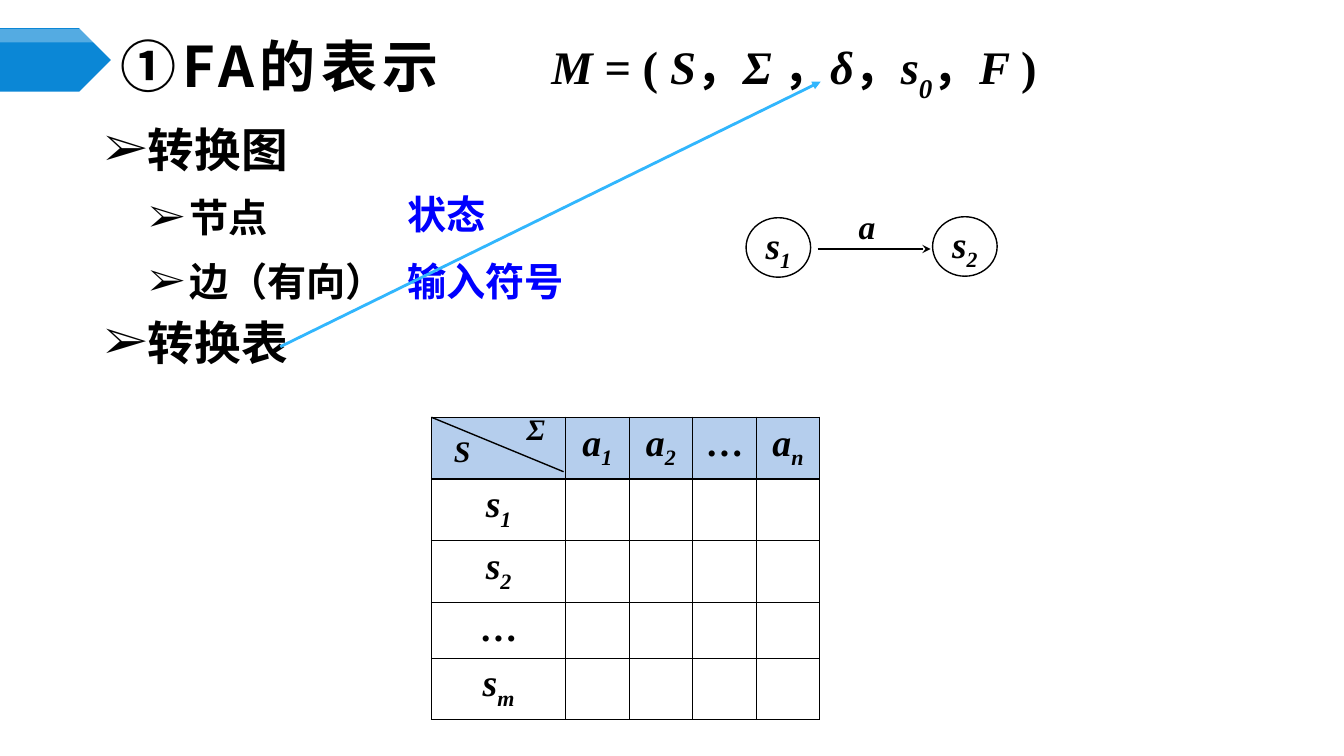
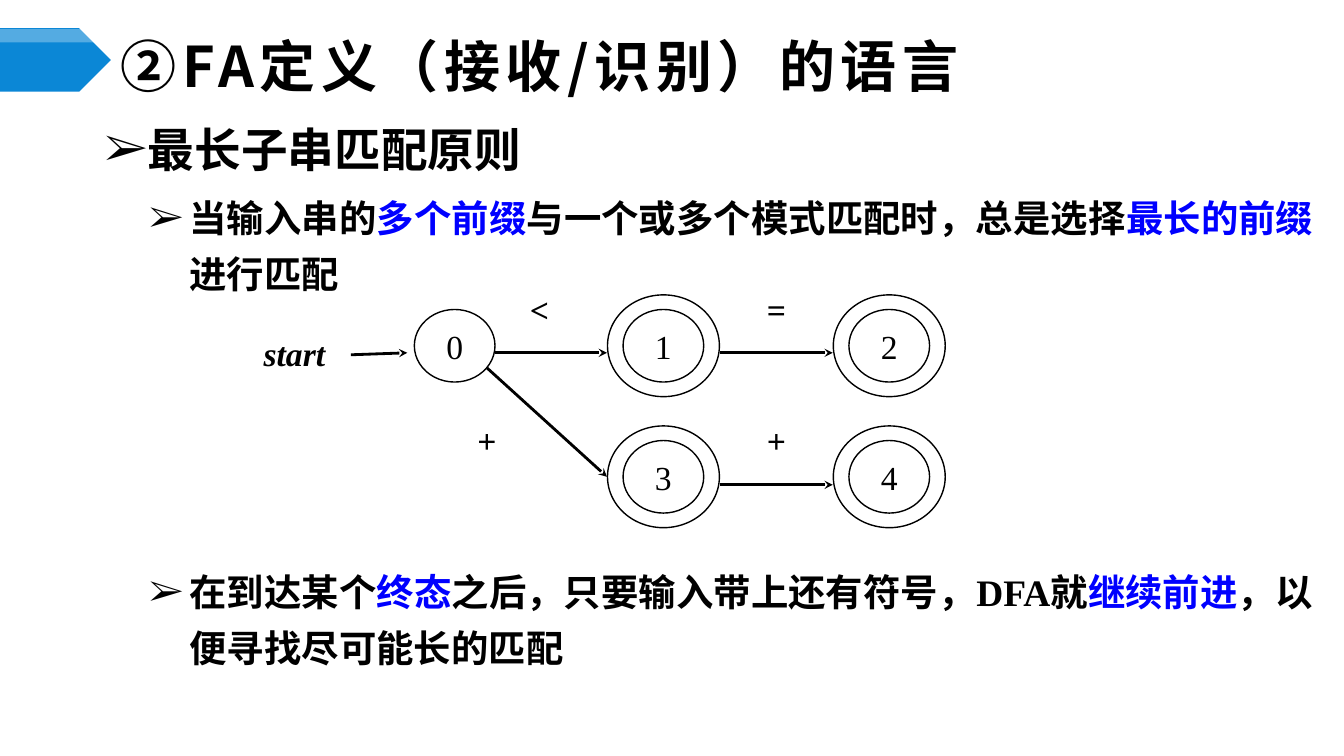
from lxml import etree
from pptx import Presentation
from pptx.dml.color import RGBColor
from pptx.enum.shapes import MSO_CONNECTOR, MSO_SHAPE
from pptx.enum.text import MSO_ANCHOR, PP_ALIGN
from pptx.oxml import parse_xml
from pptx.oxml.ns import nsdecls, qn
from pptx.util import Inches, Pt

STRAIGHT = MSO_CONNECTOR.STRAIGHT
ELLIPSE, PENTAGON = MSO_SHAPE.OVAL, MSO_SHAPE.PENTAGON
TOP, MIDDLE = MSO_ANCHOR.TOP, MSO_ANCHOR.MIDDLE
LEFT, CENTER = PP_ALIGN.LEFT, PP_ALIGN.CENTER

BLACK = RGBColor(0x00, 0x00, 0x00)
WHITE = RGBColor(0xFF, 0xFF, 0xFF)
BLUE = RGBColor(0x00, 0x00, 0xFF)
BAND_BLUE = RGBColor(0x0B, 0x87, 0xD6)
POINTER_BLUE = RGBColor(0x31, 0xB6, 0xFD)
HEADER_BLUE = RGBColor(0xB5, 0xCE, 0xED)
SANS, SERIF = "Noto Sans CJK SC", "Times New Roman"

# A span is a plain string or a pair of text and style.
ITALIC = {"italic": True}
SUB = {"italic": True, "baseline": -25}
LOW_SUB = {"italic": True, "baseline": -30}
KEY = {"color": BLUE}

# Outline entries: level, size, spans, space before in points
INDENTS = (0.4, 0.84)
HANGING = 0.4
LINE_PITCH = 40
SKIPPED_LINES = 187

TABLE_TITLE = "①FA的表示"
TABLE_OUTLINE = [
    (0, 33.3, ["转换图"], 0),
    (1, 28, ["节点"], 5.6),
    (1, 28, ["边（有向）"], 5.6),
    (0, 33.3, ["转换表"], 6.7),
]
FORMULA = [("M ", ITALIC), "= ( ", ("S", ITALIC), "，", ("Σ ", ITALIC), "，", ("δ", ITALIC),
           "，", ("s", ITALIC), ("0", LOW_SUB), "，", ("F ", ITALIC), ")"]
MEANINGS = [("状态", 1.84, 0.99), ("输入符号", 2.5, 1.77)]
SAMPLE_STATES = [("1", 7.4, 2.16), ("2", 9.25, 2.15)]
COLUMN_HEADS = [("a", "1"), ("a", "2"), ("…", ""), ("a", "n")]
ROW_HEADS = [("s", "1"), ("s", "2"), ("…", ""), ("s", "m")]
CORNER_LABELS = [("S", 4.4, 4.24, 0.37), ("Σ", 5.12, 4.03, 0.39)]

LANGUAGE_TITLE = "②FA定义（接收/识别）的语言"
LANGUAGE_OUTLINE = [
    (0, 33.3, ["最长子串匹配原则"], 0),
    (1, 26.7, ["当输入串的", ("多个前缀", KEY), "与一个或多个模式匹配时，总是选择",
               ("最长的前缀", KEY), "进行匹配"], 5.3),
    (1, 26.7, ["在到达某个", ("终态", KEY), "之后，只要输入带上还有符号，DFA就",
               ("继续前进", KEY), "，以便寻找尽可能长的匹配"], SKIPPED_LINES),
]
# State: name, column, row, accepting
STATES = [("0", 0, 0, False), ("1", 1, 0, True), ("2", 2, 0, True),
          ("3", 1, 1, True), ("4", 2, 1, True)]
STATE_X, STATE_Y = (4.51, 6.58, 8.82), (3.43, 4.73)
STATE_SIZE, RING_SIZE = (0.8, 0.72), (1.11, 1.01)
MOVES = [((3.48, 3.52), (4.04, 3.5)), ((4.91, 3.5), (6.02, 3.5)),
         ((7.14, 3.5), (8.26, 3.5)), ((4.83, 3.65), (6.02, 4.73)),
         ((7.14, 4.81), (8.26, 4.81))]
MOVE_LABELS = [("start", 2.36, 3.21, ITALIC), ("<", 4.79, 2.78, {}), ("=", 7.14, 2.78, {}),
               ("+", 4.27, 4.08, {}), ("+", 7.14, 4.08, {})]
LABEL_SIZE = (1.12, 0.58)


def inches(*values):
    return [Inches(value) for value in values]


def write(para, spans, size, font=SERIF, color=BLACK, bold=True, spacing=0):
    """Add styled runs; spacing is the extra letter gap in points."""
    for item in spans:
        text, style = (item, {}) if isinstance(item, str) else item
        span = para.add_run()
        span.text = text
        span.font.size = Pt(size)
        span.font.bold = bold
        span.font.italic = style.get("italic", False)
        span.font.name = font
        span.font.color.rgb = style.get("color", color)
        properties = span.font._element
        latin = properties.find(qn("a:latin"))
        latin.addnext(parse_xml(f'<a:ea {nsdecls("a")} typeface="{SANS}"/>'))
        if "baseline" in style:
            properties.set("baseline", str(style["baseline"] * 1000))
        if spacing:
            properties.set("spc", str(spacing * 100))


def add_text(page, at, spans, size, align=LEFT, anchor=TOP, wrap=False, **look):
    box = page.shapes.add_textbox(*inches(*at))
    frame = box.text_frame
    frame.word_wrap = wrap
    frame.vertical_anchor = anchor
    frame.paragraphs[0].alignment = align
    write(frame.paragraphs[0], spans, size, **look)


def add_plain_shape(page, kind, at, fill=None, line=None):
    shape = page.shapes.add_shape(kind, *inches(*at))
    shape.shadow.inherit = False
    if fill is None:
        shape.fill.background()
    else:
        shape.fill.solid()
        shape.fill.fore_color.rgb = fill
    if line is None:
        shape.line.fill.background()
    else:
        shape.line.color.rgb = line
        shape.line.width = Pt(1)
    return shape


def add_line(page, start, end, color=BLACK, width=2, head=None):
    line = page.shapes.add_connector(STRAIGHT, *inches(*start, *end))
    line.line.color.rgb = color
    line.line.width = Pt(width)
    if head:
        etree.SubElement(line.line._get_or_add_ln(), qn("a:tailEnd"), type=head)
    etree.SubElement(line._element.spPr, qn("a:effectLst"))


def add_state(page, at, spans, size, bold):
    frame = add_plain_shape(page, ELLIPSE, at, WHITE, BLACK).text_frame
    frame.word_wrap = False
    frame.vertical_anchor = MIDDLE
    frame.paragraphs[0].alignment = CENTER
    write(frame.paragraphs[0], spans, size, bold=bold)


def centred(center, size):
    return (center[0] - size[0] / 2, center[1] - size[1] / 2, *size)


def add_outline(page, entries):
    frame = page.shapes.add_textbox(*inches(0.94, 1.15, 12.24, 4.7)).text_frame
    frame.word_wrap = True
    for index, (level, size, spans, before) in enumerate(entries):
        para = frame.add_paragraph() if index else frame.paragraphs[0]
        para.level = level
        para.line_spacing = Pt(LINE_PITCH)
        if before:
            para.space_before = Pt(before)
        properties = para._p.get_or_add_pPr()
        properties.set("marL", str(Inches(INDENTS[level])))
        properties.set("indent", str(-Inches(HANGING)))
        etree.SubElement(properties, qn("a:buFont"), typeface=SERIF)
        etree.SubElement(properties, qn("a:buChar"), char="➢")
        write(para, spans, size)


def add_page(deck, title, outline):
    """Start a page with its outline, title and arrow band."""
    page = deck.slides.add_slide(deck.slide_layouts[6])
    add_outline(page, outline)
    add_text(page, (1.1, 0.39, 11.56, 0.52), [title], 40, anchor=MIDDLE, wrap=True,
             font=SANS, spacing=4)
    add_plain_shape(page, PENTAGON, (0, 0.28, 1.1, 0.63), BAND_BLUE)
    sheen = add_plain_shape(page, PENTAGON, (0, 0.29, 1.1, 0.13), WHITE)
    white = sheen._element.spPr.find(qn("a:solidFill"))[0]
    etree.SubElement(white, qn("a:alpha"), val="30000")
    return page


def style_cell(cell, fill):
    properties = cell._tc.get_or_add_tcPr()
    for side in ("lnL", "lnR", "lnT", "lnB"):
        properties.append(parse_xml(
            f'<a:{side} {nsdecls("a")} w="{Pt(1)}"><a:solidFill>'
            f'<a:srgbClr val="{BLACK}"/></a:solidFill></a:{side}>'))
    if fill is None:
        cell.fill.background()
    else:
        cell.fill.solid()
        cell.fill.fore_color.rgb = fill
    cell.margin_left = cell.margin_right = Inches(0.13)
    cell.margin_top = cell.margin_bottom = Inches(0.05)


def add_transition_table(page):
    rows, columns = len(ROW_HEADS) + 1, len(COLUMN_HEADS) + 1
    table = page.shapes.add_table(rows, columns, *inches(4.28, 4.14, 3.85, 2.7)).table
    table.first_row = table.horz_banding = False
    for index, column in enumerate(table.columns):
        column.width = Inches(0.63 if index else 1.33)
    for row in table.rows:
        row.height = Inches(0.54)
    heads = {(0, index): head for index, head in enumerate(COLUMN_HEADS, 1)}
    heads.update({(index, 0): head for index, head in enumerate(ROW_HEADS, 1)})
    for row in range(rows):
        for column in range(columns):
            cell = table.cell(row, column)
            style_cell(cell, None if row else HEADER_BLUE)
            if (row, column) in heads:
                name, index = heads[row, column]
                spans = [(name, ITALIC), (index, SUB)] if index else [name]
                para = cell.text_frame.paragraphs[0]
                para.alignment = CENTER
                write(para, spans, 27)
    for text, left, top, width in CORNER_LABELS:
        add_text(page, (left, top, width, 0.46), [(text, ITALIC)], 21.3, CENTER)
    add_line(page, (4.28, 4.14), (5.59, 4.68), width=1)


def build_representation(deck):
    page = add_page(deck, TABLE_TITLE, TABLE_OUTLINE)
    add_text(page, (5.33, 0.33, 5.09, 0.66), FORMULA, 33.3, CENTER, wrap=True)
    for text, top, width in MEANINGS:
        add_text(page, (3.94, top, width, 0.57), [text], 28, font=SANS, color=BLUE)
    for index, left, top in SAMPLE_STATES:
        add_state(page, (left, top, 0.64, 0.59), [("s", ITALIC), (index, SUB)], 26.7, True)
    add_line(page, (8.11, 2.47), (9.23, 2.47), head="stealth")
    add_text(page, (8.04, 1.95, *LABEL_SIZE), [("a", ITALIC)], 24, CENTER, MIDDLE)
    add_transition_table(page)
    add_line(page, (2.78, 3.44), (8.14, 0.81), POINTER_BLUE, head="triangle")


def build_language(deck):
    page = add_page(deck, LANGUAGE_TITLE, LANGUAGE_OUTLINE)
    for name, column, row, accepting in STATES:
        center = STATE_X[column], STATE_Y[row]
        if accepting:
            add_plain_shape(page, ELLIPSE, centred(center, RING_SIZE), line=BLACK)
        add_state(page, centred(center, STATE_SIZE), [name], 24, False)
    for start, end in MOVES:
        add_line(page, start, end, head="stealth")
    for text, left, top, style in MOVE_LABELS:
        add_text(page, (left, top, *LABEL_SIZE), [(text, style)], 24, CENTER, MIDDLE)


def main():
    deck = Presentation()
    deck.slide_width, deck.slide_height = inches(13.33, 7.5)
    build_representation(deck)
    build_language(deck)
    deck.save("out.pptx")


if __name__ == "__main__":
    main()
